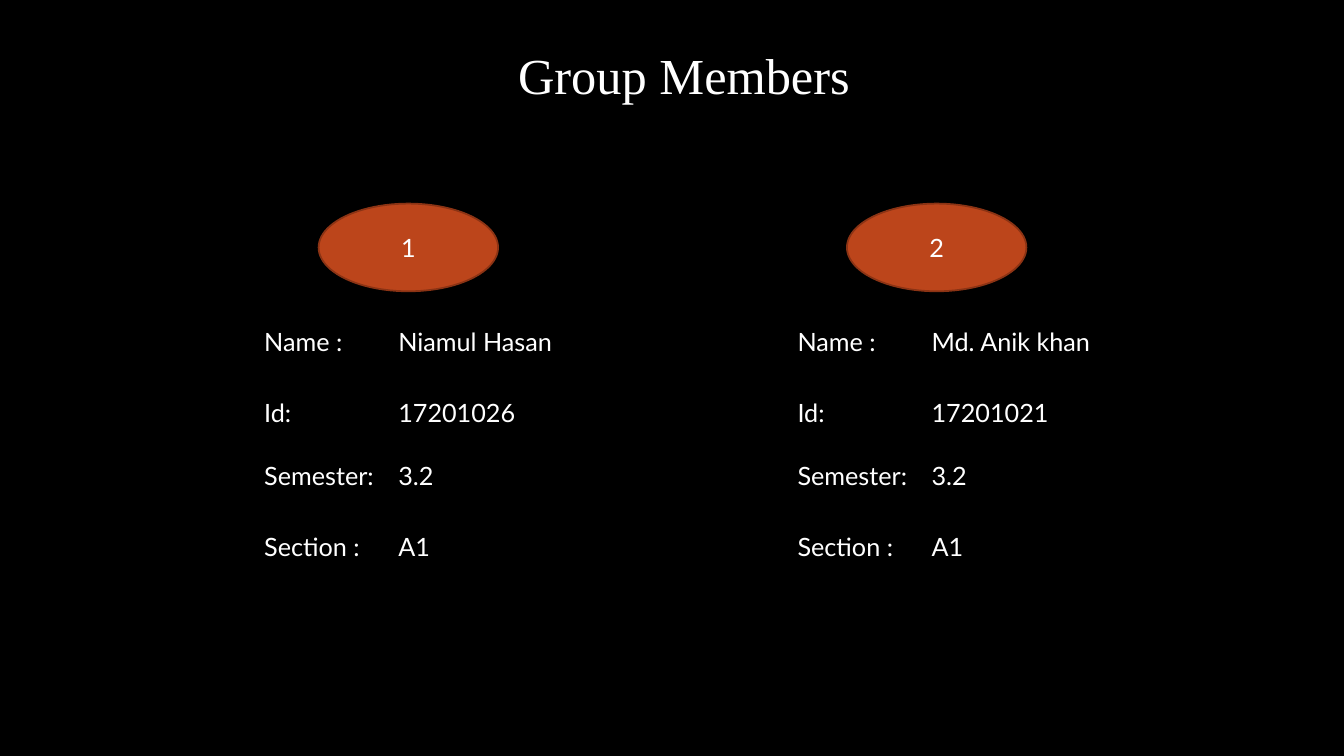
from pptx import Presentation
from pptx.dml.color import RGBColor
from pptx.enum.shapes import MSO_SHAPE
from pptx.enum.text import MSO_ANCHOR, MSO_AUTO_SIZE, PP_ALIGN
from pptx.oxml.ns import qn
from pptx.util import Inches, Pt

NO_GRID = "{2D5ABB26-0587-4C30-8999-92F81FD0307C}"


def paint(color, code):
    color.rgb = RGBColor.from_string(code)


def write(frame, text, size=18, font="Lato"):
    run = frame.paragraphs[0].add_run()
    run.text = text
    run.font.size = Pt(size)
    run.font.name = font
    run.font.bold = False
    paint(run.font.color, "FFFFFF")


deck = Presentation()
deck.slide_width, deck.slide_height = Inches(13.33), Inches(7.5)
slide = deck.slides.add_slide(deck.slide_layouts[6])
back = slide.background.fill
back.solid()
paint(back.fore_color, "000000")

title = slide.shapes.add_textbox(
    Inches(5.04), Inches(0.39), Inches(3.53), Inches(0.71)).text_frame
title.word_wrap = False
title.auto_size = MSO_AUTO_SIZE.SHAPE_TO_FIT_TEXT
write(title, "Group Members", 36, "Times New Roman")

labels = ["Name :", "Id:", "Semester:", "Section :"]
widths = [1.33, 2.93]
heights = [0.7, 0.63, 0.7, 0.7]
members = [
    ("1", 2.52, 3.16, ["Niamul Hasan", "17201026", "3.2", "A1"]),
    ("2", 7.81, 8.4, ["Md. Anik khan", "17201021", "3.2", "A1"]),
]

for number, left, badge_left, values in members:
    table = slide.shapes.add_table(
        len(labels), 2, Inches(left), Inches(3.19),
        Inches(sum(widths)), Inches(sum(heights))).table
    table.first_row = table.horz_banding = False
    table._tbl.tblPr.find(qn("a:tableStyleId")).text = NO_GRID
    for col, width in zip(table.columns, widths):
        col.width = Inches(width)
    for row, height, texts in zip(table.rows, heights, zip(labels, values)):
        row.height = Inches(height)
        for cell, text in zip(row.cells, texts):
            cell.fill.background()
            write(cell.text_frame, text)

    badge = slide.shapes.add_shape(
        MSO_SHAPE.OVAL, Inches(badge_left), Inches(2.02),
        Inches(1.78), Inches(0.87))
    badge.shadow.inherit = False
    badge.fill.solid()
    paint(badge.fill.fore_color, "BC451B")
    paint(badge.line.color, "8B3314")
    badge.line.width = Pt(1.25)
    badge.text_frame.vertical_anchor = MSO_ANCHOR.MIDDLE
    badge.text_frame.paragraphs[0].alignment = PP_ALIGN.CENTER
    write(badge.text_frame, number)

deck.save("out.pptx")
